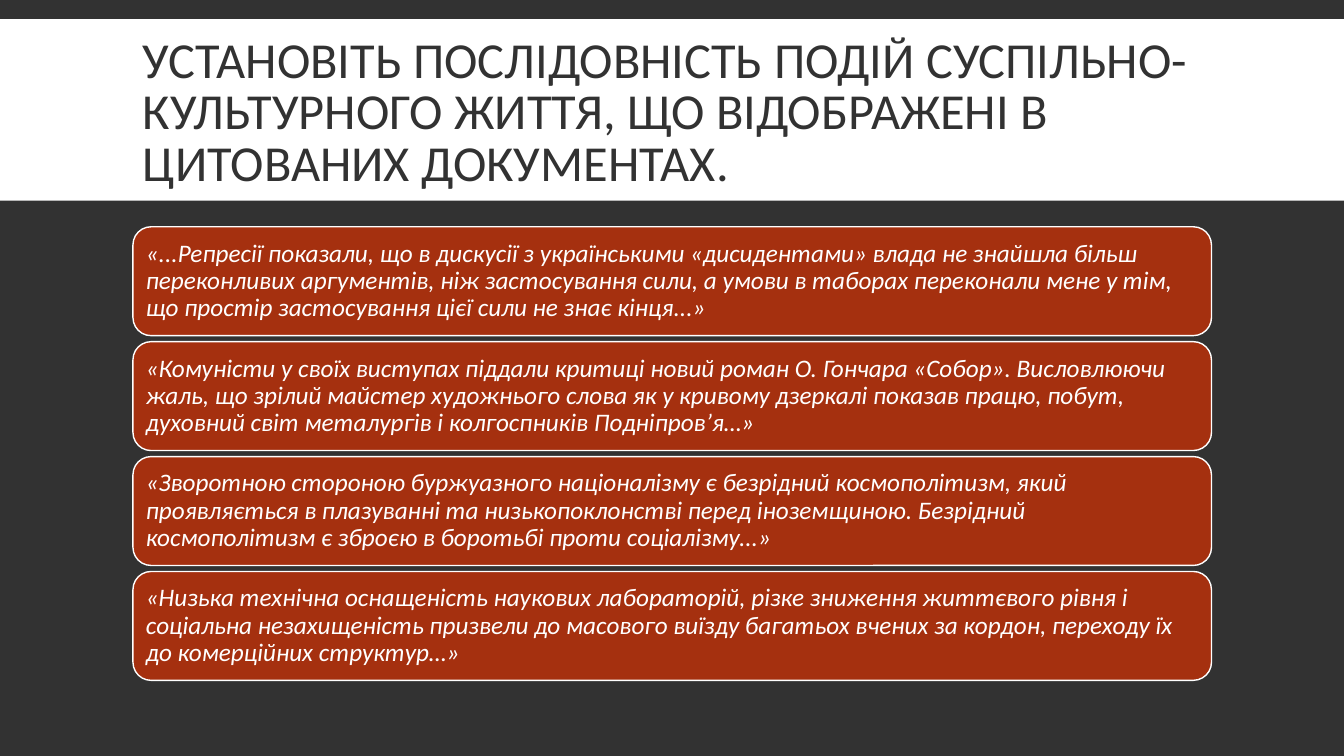
from dataclasses import dataclass

from pptx import Presentation
from pptx.dml.color import RGBColor
from pptx.enum.shapes import MSO_SHAPE as Shape
from pptx.enum.text import MSO_ANCHOR as Anchor, PP_ALIGN as Align
from pptx.util import Pt


@dataclass(frozen=True)
class Theme:
    dark: RGBColor = RGBColor(0x32, 0x32, 0x32)
    white: RGBColor = RGBColor(0xFF, 0xFF, 0xFF)
    rust: RGBColor = RGBColor(0xA5, 0x30, 0x0F)
    font: str = "Calibri"
    title_size: int = 36
    quote_size: int = 18


THEME = Theme()
SLIDE_WIDTH, SLIDE_HEIGHT = 960, 540
BAND_BOX = (0, 13.7, SLIDE_WIDTH, 129.6)
QUOTES_BOX = (95, 162, 770.4, 324)
QUOTE_GAP = 4.3

TITLE = (
    "УСТАНОВІТЬ ПОСЛІДОВНІСТЬ ПОДІЙ СУСПІЛЬНО-КУЛЬТУРНОГО ЖИТТЯ, "
    "ЩО ВІДОБРАЖЕНІ В ЦИТОВАНИХ ДОКУМЕНТАХ."
)
QUOTES = [
    "«...Репресії показали, що в дискусії з українськими «дисидентами» влада не знайшла "
    "більш переконливих аргументів, ніж застосування сили, а умови в таборах переконали "
    "мене у тім, що простір застосування цієї сили не знає кінця...»",
    "«Комуністи у своїх виступах піддали критиці новий роман О. Гончара «Собор». "
    "Висловлюючи жаль, що зрілий майстер художнього слова як у кривому дзеркалі показав "
    "працю, побут, духовний світ металургів і колгоспників Подніпров’я…»",
    "«Зворотною стороною буржуазного націоналізму є безрідний космополітизм, який "
    "проявляється в плазуванні та низькопоклонстві перед іноземщиною. Безрідний "
    "космополітизм є зброєю в боротьбі проти соціалізму...»",
    "«Низька технічна оснащеність наукових лабораторій, різке зниження життєвого рівня і "
    "соціальна незахищеність призвели до масового виїзду багатьох вчених за кордон, "
    "переходу їх до комерційних структур…»",
]


def apply_format(target, values):
    for name, value in values.items():
        setattr(target, name, value)


def write_text(shape, text, spacing, inset, font):
    side, edge = map(Pt, inset)
    frame = shape.text_frame
    apply_format(frame, {
        "word_wrap": True, "vertical_anchor": Anchor.MIDDLE,
        "margin_left": side, "margin_right": side,
        "margin_top": edge, "margin_bottom": edge,
    })
    para = frame.paragraphs[0]
    apply_format(para, {"alignment": Align.LEFT, "line_spacing": spacing})
    span = para.add_run()
    span.text = text
    color = font.pop("color")
    apply_format(span.font, {"name": THEME.font, **font})
    span.font.color.rgb = color


def add_block(page, kind, box, fill):
    block = page.shapes.add_shape(kind, *map(Pt, box))
    block.shadow.inherit = False
    block.fill.solid()
    block.fill.fore_color.rgb = fill
    block.line.fill.background()
    return block


def add_title_band(page, box):
    add_block(page, Shape.RECTANGLE, box, THEME.white)
    left, top, width, height = box
    title_box = (left + 95, top + 8.6, width - 189.6, height - 10.8)
    title = page.shapes.add_textbox(*map(Pt, title_box))
    write_text(title, TITLE, 0.85, (7.2, 3.6),
               {"size": Pt(THEME.title_size), "color": THEME.dark})


def add_quotes(page, box):
    left, top, width, height = box
    card_height = (height - QUOTE_GAP * (len(QUOTES) - 1)) / len(QUOTES)
    for index, quote in enumerate(QUOTES):
        card_top = top + index * (card_height + QUOTE_GAP)
        card = add_block(page, Shape.ROUNDED_RECTANGLE,
                         (left, card_top, width, card_height), THEME.rust)
        card.line.color.rgb = THEME.white
        card.line.width = Pt(1)
        write_text(card, quote, 0.9, (5.4, 5.4),
                   {"size": Pt(THEME.quote_size), "italic": True, "color": THEME.white})


def main():
    deck = Presentation()
    apply_format(deck, {"slide_width": Pt(SLIDE_WIDTH), "slide_height": Pt(SLIDE_HEIGHT)})
    page = deck.slides.add_slide(deck.slide_layouts[6])
    page.background.fill.solid()
    page.background.fill.fore_color.rgb = THEME.dark
    add_title_band(page, BAND_BOX)
    add_quotes(page, QUOTES_BOX)
    deck.save("out.pptx")


if __name__ == "__main__":
    main()
